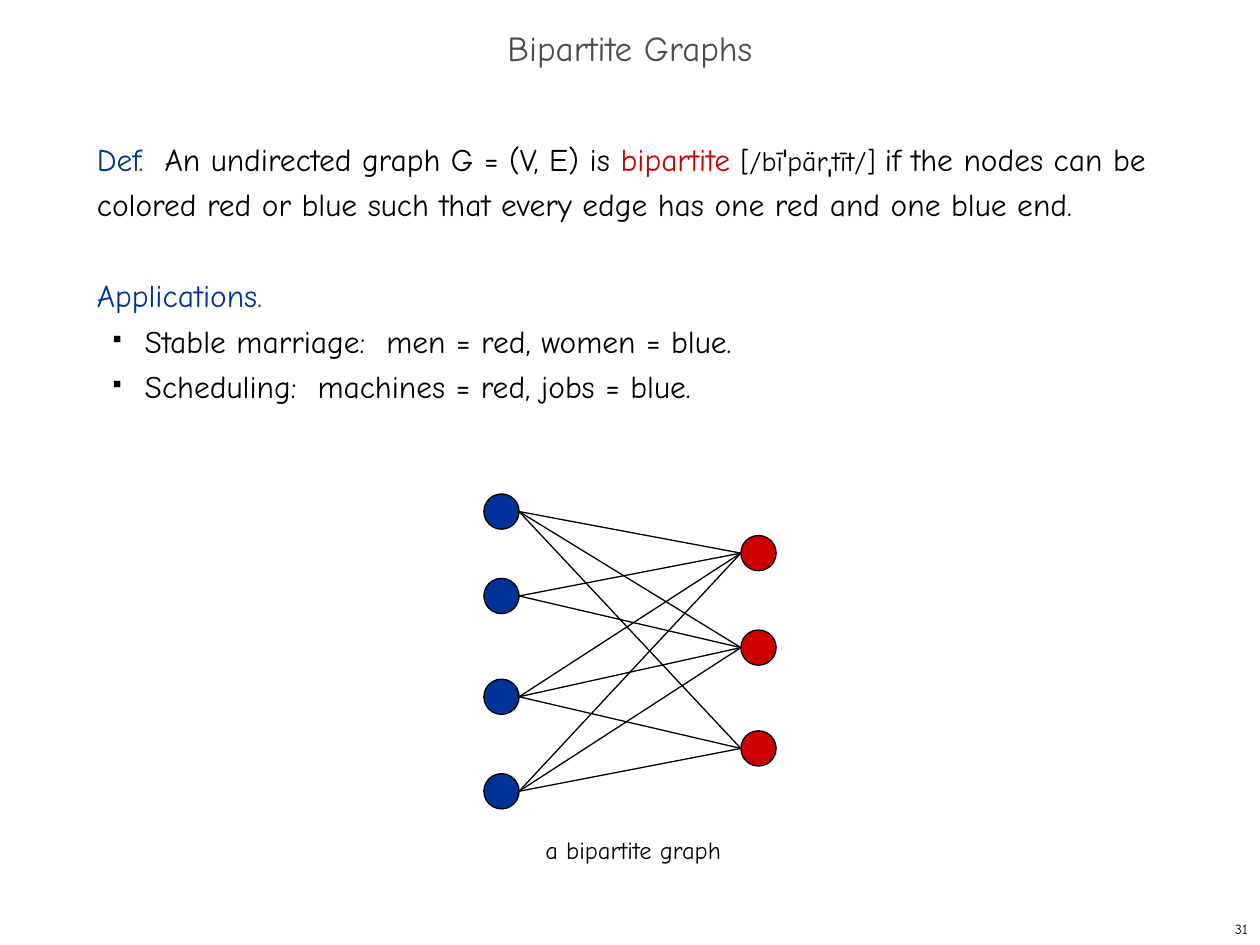
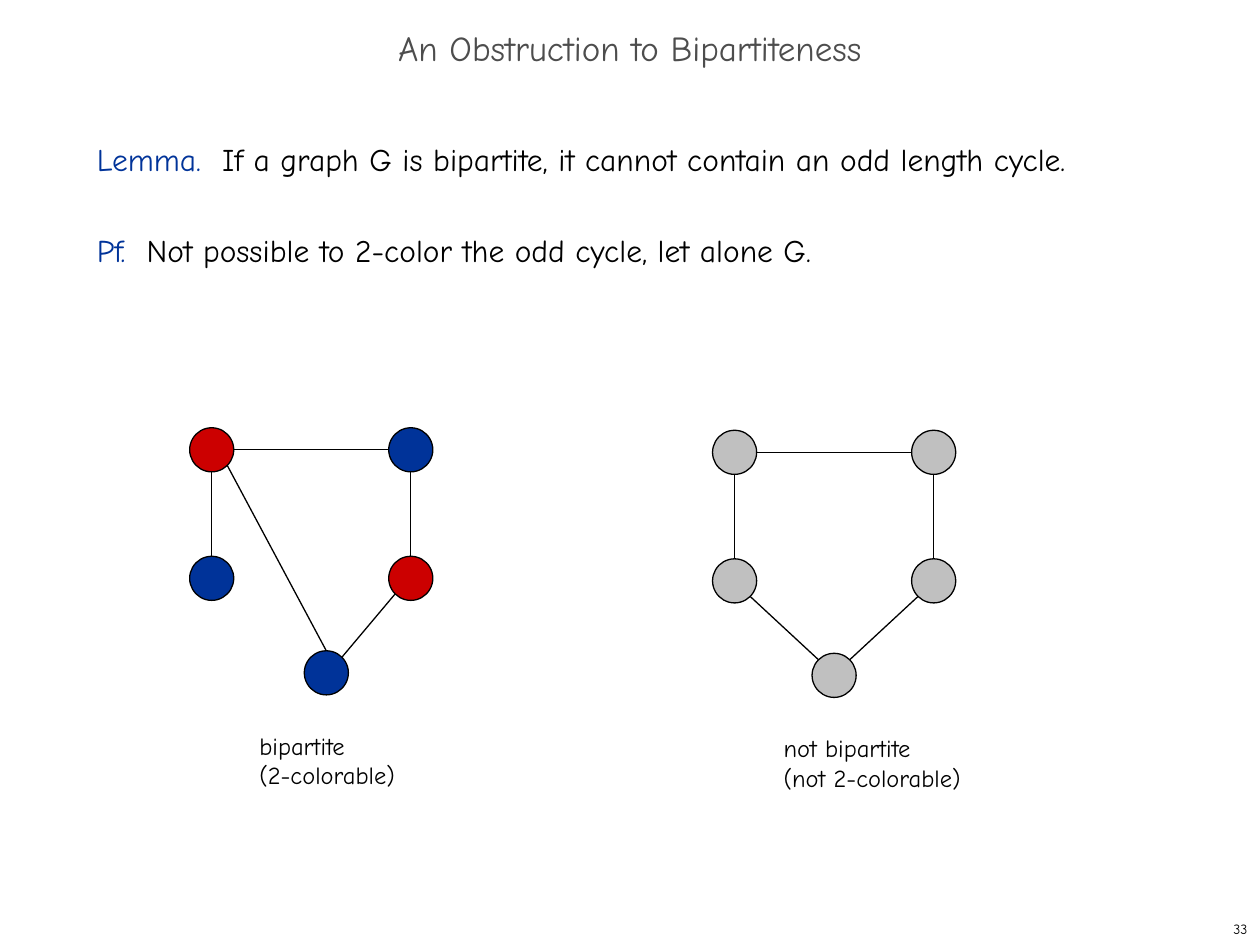
"""Build two slides on bipartite graphs: the definition and the odd cycle obstruction."""
from math import cos, radians, sin

from lxml.etree import SubElement
from pptx import Presentation
from pptx.dml.color import RGBColor
from pptx.enum.shapes import MSO_CONNECTOR, MSO_SHAPE
from pptx.enum.text import MSO_ANCHOR, MSO_AUTO_SIZE, PP_ALIGN
from pptx.oxml.ns import qn
from pptx.util import Inches, Pt

FONT = "Comic Neue"
COLORS = {"black": "000000", "title": "4D4D4D", "blue": "003399", "red": "CC0000", "gray": "C0C0C0"}
LINE_WIDTH = Pt(0.74)
RIGHT, DOWN_RIGHT, DOWN, DOWN_LEFT, LEFT, UP_LEFT, UP, UP_RIGHT = range(0, 360, 45)


def add_text(slide, box, text, size, wrap=False):
    """Add a text box in black and return its text frame."""
    text_frame = slide.shapes.add_textbox(*map(Inches, box)).text_frame
    text_frame.word_wrap = wrap
    text_frame.text = text
    font = text_frame.paragraphs[0].font
    font.name, font.size = FONT, Pt(size)
    font.color.rgb = RGBColor.from_string(COLORS["black"])
    return text_frame


def add_graph(slide, diameter, nodes, edges):
    """Draw edges between angles on the rims of nodes, then the nodes, given by centre and colour."""
    radius = diameter / 2
    for edge in edges:
        ends = []
        for name, angle in edge:
            x, y, color = nodes[name]
            ends += [x + radius * cos(radians(angle)), y + radius * sin(radians(angle))]
        connector = slide.shapes.add_connector(MSO_CONNECTOR.STRAIGHT, *map(Inches, ends))
        connector.line.color.rgb = RGBColor.from_string(COLORS["black"])
        connector.line.width = LINE_WIDTH
        SubElement(connector._element.spPr, qn("a:effectLst"))
    for x, y, color in nodes.values():
        box = (x - radius, y - radius, diameter, diameter)
        node = slide.shapes.add_shape(MSO_SHAPE.OVAL, *map(Inches, box))
        node.shadow.inherit = False
        node.fill.solid()
        node.fill.fore_color.rgb = RGBColor.from_string(COLORS[color])
        node.line.color.rgb = RGBColor.from_string(COLORS["black"])
        node.line.width = LINE_WIDTH


definition = [
    ("plain", [("Def.  ", "blue", 18), ("An undirected graph G = (V, E) is ", "black", 18),
               ("bipartite ", "red", 18), ("[/bīˈpärˌtīt/] ", "black", 16),
               ("if the nodes can be colored red or blue such that every edge "
                "has one red and one blue end.", "black", 18)]),
    ("plain", [("Applications.", "blue", 18)]),
    ("bullet", [("Stable marriage:  men = red, women = blue.", "black", 18)]),
    ("bullet", [("Scheduling:  machines = red, jobs = blue.", "black", 18)]),
]
lemma = [
    ("plain", [("Lemma.  ", "blue", 18),
               ("If a graph G is bipartite, it cannot contain an odd length cycle.", "black", 18)]),
    ("plain", [("Pf.  ", "blue", 18),
               ("Not possible to 2-color the odd cycle, let alone G.", "black", 18)]),
]

left_nodes = {f"blue{i}": (3.98, y, "blue") for i, y in enumerate((4.06, 4.73, 5.53, 6.28))}
right_nodes = {f"red{i}": (6.02, y, "red") for i, y in enumerate((4.39, 5.14, 5.94))}
crossing_edges = [
    ((blue, RIGHT), (red, LEFT)) for blue in left_nodes for red in right_nodes
    if (blue, red) != ("blue1", "red2")
]

square_edges = [
    (("top left", RIGHT), ("top right", LEFT)),
    (("low right", UP), ("top right", DOWN)),
    (("low left", UP), ("top left", DOWN)),
    (("bottom", UP_RIGHT), ("low right", DOWN_LEFT)),
]
colorable_nodes = {
    "top left": (1.68, 3.57, "red"), "top right": (3.26, 3.57, "blue"),
    "low left": (1.68, 4.59, "blue"), "low right": (3.26, 4.59, "red"),
    "bottom": (2.59, 5.34, "blue"),
}
odd_cycle_nodes = {
    "top left": (5.83, 3.59, "gray"), "top right": (7.41, 3.59, "gray"),
    "low left": (5.83, 4.61, "gray"), "low right": (7.41, 4.61, "gray"),
    "bottom": (6.62, 5.36, "gray"),
}
colorable_edges = square_edges + [(("bottom", UP), ("top left", DOWN_RIGHT))]
odd_cycle_edges = square_edges + [(("low left", DOWN_RIGHT), ("bottom", UP_LEFT))]

slides = [
    ("Bipartite Graphs", "31", definition,
     [(0.28, left_nodes | right_nodes, crossing_edges)],
     [("a bipartite graph", (4.23, 6.58, 1.61, 0.33))]),
    ("An Obstruction to Bipartiteness", "33", lemma,
     [(0.35, odd_cycle_nodes, odd_cycle_edges), (0.35, colorable_nodes, colorable_edges)],
     [("bipartite\v(2-colorable)", (1.96, 5.75, 1.28, 0.57)),
      ("not bipartite\v(not 2-colorable)", (6.12, 5.77, 1.62, 0.57))]),
]

presentation = Presentation()
presentation.slide_width, presentation.slide_height = Inches(10), Inches(7.5)

for title_text, number, body, graphs, captions in slides:
    slide = presentation.slides.add_slide(presentation.slide_layouts[5])

    title = slide.shapes.title
    title.left, title.top, title.width, title.height = map(Inches, (0, 0.17, 10, 0.5))
    title.text_frame.text = title_text
    title.text_frame.auto_size = MSO_AUTO_SIZE.NONE
    title.text_frame.vertical_anchor = MSO_ANCHOR.MIDDLE
    paragraph = title.text_frame.paragraphs[0]
    paragraph.alignment = PP_ALIGN.CENTER
    paragraph.line_spacing = 0.7
    paragraph.font.name, paragraph.font.size = FONT, Pt(20)
    paragraph.font.color.rgb = RGBColor.from_string(COLORS["title"])

    number_frame = add_text(slide, (7.92, 7.25, 2.08, 0.25), number, 8, wrap=True)
    number_frame.vertical_anchor = MSO_ANCHOR.MIDDLE
    number_frame.paragraphs[0].alignment = PP_ALIGN.RIGHT

    body_frame = add_text(slide, (0.67, 1, 8.58, 5.92), "", 18, wrap=True)
    for index, (style, runs) in enumerate(body):
        paragraph = body_frame.add_paragraph() if index else body_frame.paragraphs[0]
        paragraph.line_spacing = Pt(26)
        if style == "bullet":
            paragraph.level = 1
            properties = paragraph._p.get_or_add_pPr()
            properties.set("marL", str(Inches(0.38)))
            properties.set("indent", str(Inches(-0.25)))
            bullet_color = SubElement(properties, qn("a:buClr"))
            SubElement(bullet_color, qn("a:srgbClr"), val=COLORS["black"])
            SubElement(properties, qn("a:buSzPct"), val="35000")
            SubElement(properties, qn("a:buChar"), char="■")
        elif index:
            paragraph.space_before = Pt(26)
        for text, color, size in runs:
            run = paragraph.add_run()
            run.text = text
            run.font.name, run.font.size = FONT, Pt(size)
            run.font.color.rgb = RGBColor.from_string(COLORS[color])

    for diameter, nodes, edges in graphs:
        add_graph(slide, diameter, nodes, edges)
    for caption, box in captions:
        add_text(slide, box, caption, 14)

presentation.save("out.pptx")
